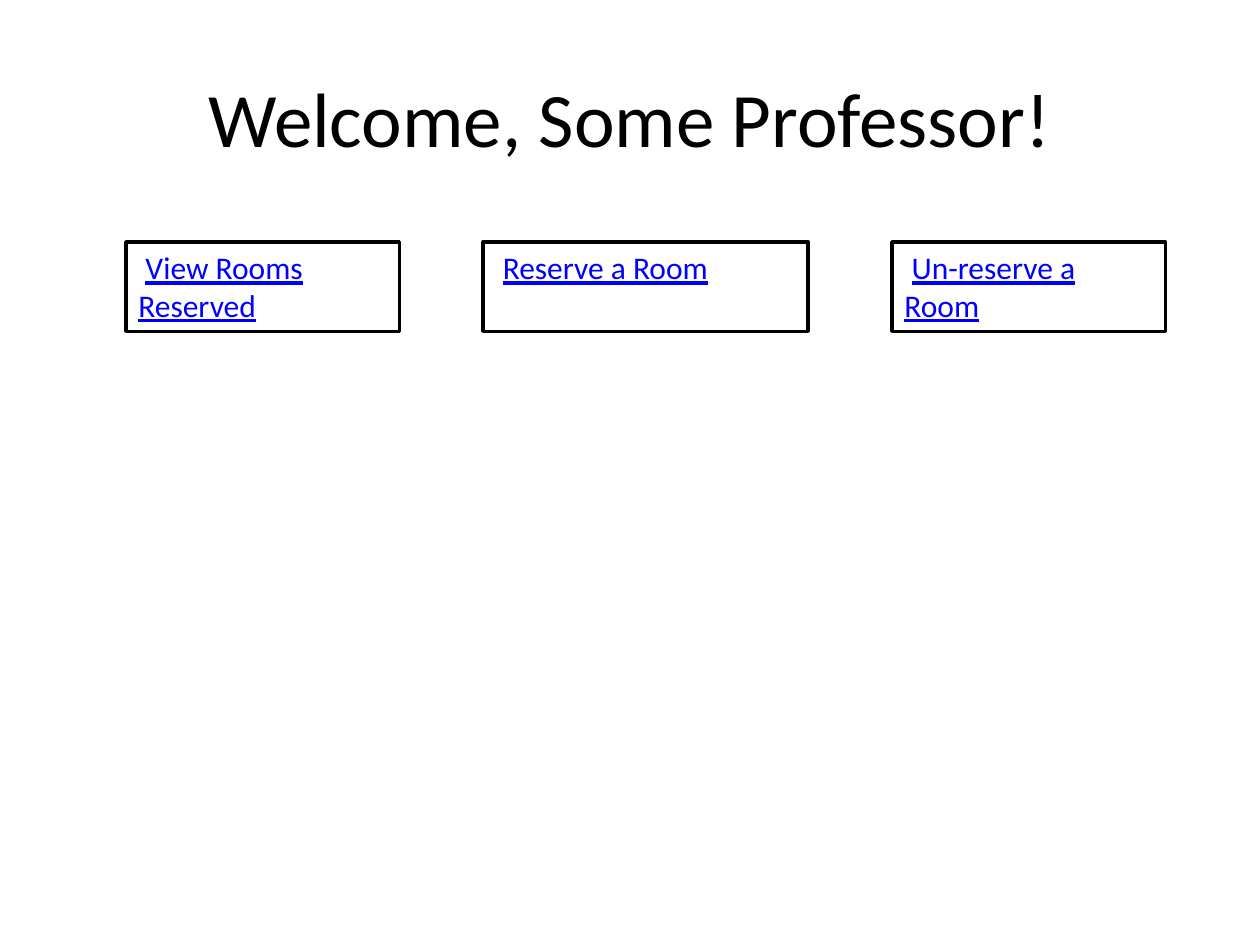
from dataclasses import dataclass

import pptx
import pptx.dml.color
import pptx.enum.shapes
import pptx.enum.text
import pptx.slide
import pptx.util

BLACK = pptx.dml.color.RGBColor(0x00, 0x00, 0x00)
WHITE = pptx.dml.color.RGBColor(0xFF, 0xFF, 0xFF)
LINK_BLUE = pptx.dml.color.RGBColor(0x00, 0x00, 0xFF)
FONT_NAME = "Calibri"

# Lengths in inches
SLIDE_WIDTH, SLIDE_HEIGHT = 10, 7.5
TITLE_MARGIN, TITLE_TOP, TITLE_HEIGHT = 0.05 * SLIDE_WIDTH, 0.04 * SLIDE_HEIGHT, 1.25
ROW_LEFT, ROW_RIGHT = 0.1 * SLIDE_WIDTH, 0.925 * SLIDE_WIDTH
ROW_TOP, ROW_HEIGHT = 1.92, 0.71


@dataclass(frozen=True)
class MenuButton:
    label: str
    width: float


MENU_BUTTONS = [
    MenuButton("View Rooms Reserved", 2.17),
    MenuButton("Reserve a Room", 2.58),
    MenuButton("Un-reserve a Room", 2.17),
]


def add_title(slide: pptx.slide.Slide, text: str) -> None:
    title = slide.shapes.add_textbox(
        pptx.util.Inches(TITLE_MARGIN), pptx.util.Inches(TITLE_TOP),
        pptx.util.Inches(SLIDE_WIDTH - 2 * TITLE_MARGIN), pptx.util.Inches(TITLE_HEIGHT))
    frame = title.text_frame
    frame.word_wrap = True
    frame.vertical_anchor = pptx.enum.text.MSO_ANCHOR.MIDDLE
    paragraph = frame.paragraphs[0]
    paragraph.text = text
    paragraph.alignment = pptx.enum.text.PP_ALIGN.CENTER
    paragraph.font.name = FONT_NAME
    paragraph.font.size = pptx.util.Pt(44)
    paragraph.font.color.rgb = BLACK


def add_button(slide: pptx.slide.Slide, button: MenuButton, left: float) -> None:
    shape = slide.shapes.add_shape(
        pptx.enum.shapes.MSO_SHAPE.RECTANGLE,
        pptx.util.Inches(left), pptx.util.Inches(ROW_TOP),
        pptx.util.Inches(button.width), pptx.util.Inches(ROW_HEIGHT))
    shape.shadow.inherit = False
    shape.fill.solid()
    shape.fill.fore_color.rgb = WHITE
    shape.line.color.rgb = BLACK
    shape.line.width = pptx.util.Pt(2)

    frame = shape.text_frame
    frame.word_wrap = True
    frame.vertical_anchor = pptx.enum.text.MSO_ANCHOR.TOP
    paragraph = frame.paragraphs[0]
    paragraph.alignment = pptx.enum.text.PP_ALIGN.LEFT
    # The leading space is not underlined
    for text, color, underline in ((" ", BLACK, False), (button.label, LINK_BLUE, True)):
        run = paragraph.add_run()
        run.text = text
        run.font.name = FONT_NAME
        run.font.size = pptx.util.Pt(18)
        run.font.color.rgb = color
        run.font.underline = underline


def main() -> None:
    presentation = pptx.Presentation()
    presentation.slide_width = pptx.util.Inches(SLIDE_WIDTH)
    presentation.slide_height = pptx.util.Inches(SLIDE_HEIGHT)
    slide = presentation.slides.add_slide(presentation.slide_layouts[6])

    add_title(slide, "Welcome, Some Professor!")

    # Row of buttons with equal gaps
    total_width = sum(button.width for button in MENU_BUTTONS)
    gap = (ROW_RIGHT - ROW_LEFT - total_width) / (len(MENU_BUTTONS) - 1)
    left = ROW_LEFT
    for button in MENU_BUTTONS:
        add_button(slide, button, left)
        left += button.width + gap

    presentation.save("out.pptx")


main()
